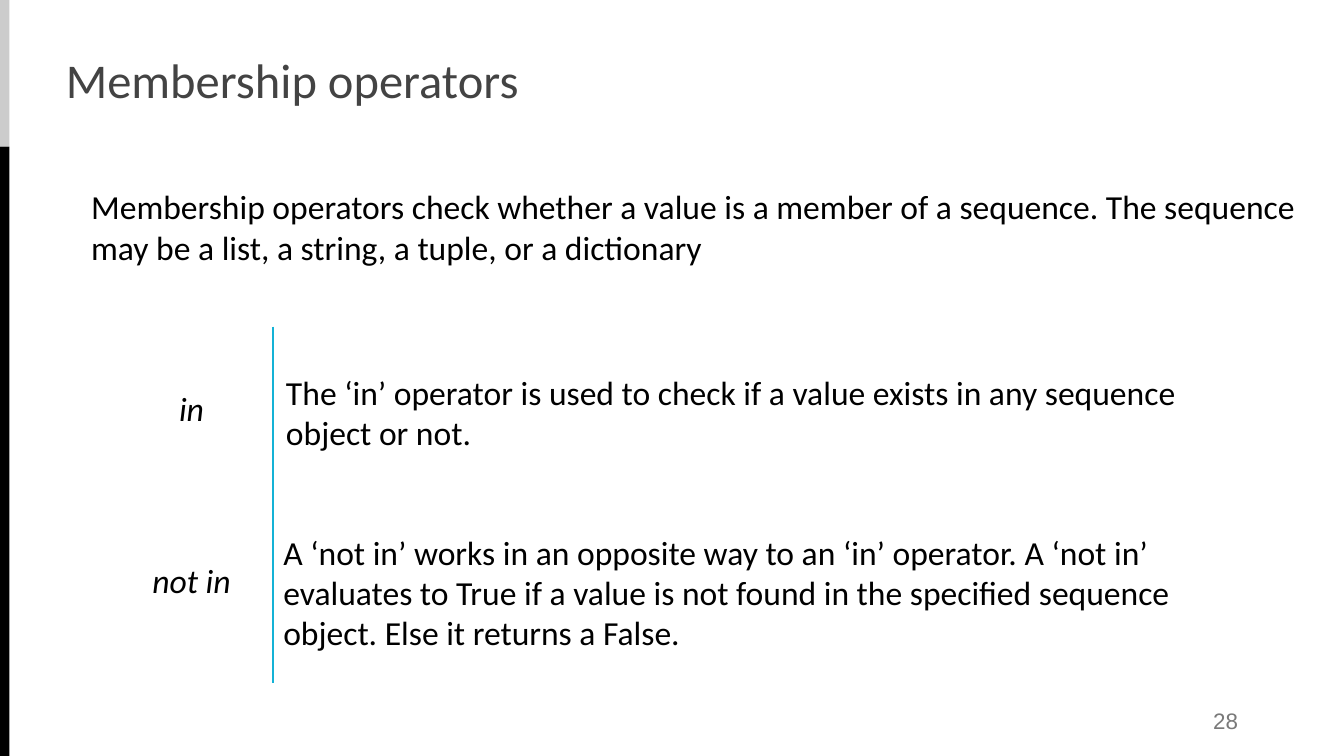
"""Build the slide on Python membership operators."""
from lxml import etree
from pptx import Presentation
from pptx import util as u
from pptx.dml.color import RGBColor
from pptx.enum import shapes, text
from pptx.oxml.ns import qn

W = 10
H = W * 9 / 16
BAR_W, BAR_SPLIT = 0.07, 1.09
RULE_X, RULE_TOP, RULE_END = 2.03, 2.43, 5.08
TERM_X, TERM_W, TERM_H = 0.93, 0.99, 0.68
TEXT_W = 7.44

TITLE = ("Membership operators", (0.39, 0.39, 6.9, 0.39))
INTRO = ("Membership operators check whether a value is a member of a sequence. "
         "The sequence may be a list, a string, a tuple, or a dictionary",
         (0.58, 1.29, 9.23, 0.79))
NUMBER = ("28", (7.06, 5.21, 2.25, 0.3))
OPERATORS = [
    ("in", 2.7,
     "The ‘in’ operator is used to check if a value exists in any sequence "
     "object or not.", (RULE_X, 2.67, TEXT_W, 0.79)),
    ("not in", 3.98,
     "A ‘not in’ works in an opposite way to an ‘in’ operator. A ‘not in’ "
     "evaluates to True if a value is not found in the specified sequence "
     "object. Else it returns a False.", (2.01, 3.84, TEXT_W, 1.13)),
]
BARS = [("CCCCCC", 0, BAR_SPLIT), ("000000", BAR_SPLIT, H - BAR_SPLIT)]

BODY = {"name": "Calibri", "size": u.Pt(18)}
HEADING = {"name": "Calibri", "size": u.Pt(26)}
TERM = {**BODY, "italic": True}
FOOTER = {"name": "Arial", "size": u.Pt(12)}
LEFT, CENTER, RIGHT = (text.PP_ALIGN.LEFT, text.PP_ALIGN.CENTER,
                       text.PP_ALIGN.RIGHT)


def rgb(value):
    return RGBColor.from_string(value)


def inches(box):
    return [u.Inches(v) for v in box]


def write(sp, words, font=BODY, color="000000", align=LEFT, after=0):
    tf = sp.text_frame
    frame = {"word_wrap": True, "auto_size": text.MSO_AUTO_SIZE.NONE,
             "vertical_anchor": text.MSO_ANCHOR.MIDDLE}
    frame.update({f"margin_{side}": u.Inches(0.1)
                  for side in ("left", "top", "right", "bottom")})
    for key, value in frame.items():
        setattr(tf, key, value)
    p = tf.paragraphs[0]
    p.alignment, p.space_after = align, u.Pt(after)
    r = p.add_run()
    r.text = words
    for key, value in font.items():
        setattr(r.font, key, value)
    r.font.color.rgb = rgb(color)


def add_text(s, words, box, **style):
    write(s.shapes.add_textbox(*inches(box)), words, **style)


def add_block(s, kind, box, color):
    sp = s.shapes.add_shape(kind, *inches(box))
    sp.shadow.inherit = False
    sp.fill.solid()
    sp.fill.fore_color.rgb = rgb(color)
    sp.line.fill.background()
    return sp


def add_title(s, words, box):
    sp = s.shapes.title
    for key, value in zip(("left", "top", "width", "height"), inches(box)):
        setattr(sp, key, value)
    write(sp, words, font=HEADING, color="434343")


def add_rule(s):
    line = s.shapes.add_connector(
        shapes.MSO_CONNECTOR.STRAIGHT,
        *inches((RULE_X, RULE_TOP, RULE_X, RULE_END)))
    line.line.color.rgb = rgb("14B2D6")
    line.line.width = u.Pt(0.75)
    etree.SubElement(line._element.spPr, qn("a:effectLst"))


def main():
    prs = Presentation()
    prs.slide_width, prs.slide_height = inches((W, H))
    s = prs.slides.add_slide(prs.slide_layouts.get_by_name("Title Only"))
    for color, top, height in BARS:
        add_block(s, shapes.MSO_SHAPE.RECTANGLE, (0, top, BAR_W, height), color)
    add_title(s, *TITLE)
    add_text(s, *INTRO)
    for name, top, words, box in OPERATORS:
        sp = add_block(s, shapes.MSO_SHAPE.ROUNDED_RECTANGLE,
                       (TERM_X, top, TERM_W, TERM_H), "FFFFFF")
        write(sp, name, font=TERM, align=CENTER)
        add_text(s, words, box, after=10)
    add_rule(s)
    add_text(s, *NUMBER, font=FOOTER, color="797979", align=RIGHT)
    prs.save("out.pptx")


if __name__ == "__main__":
    main()
